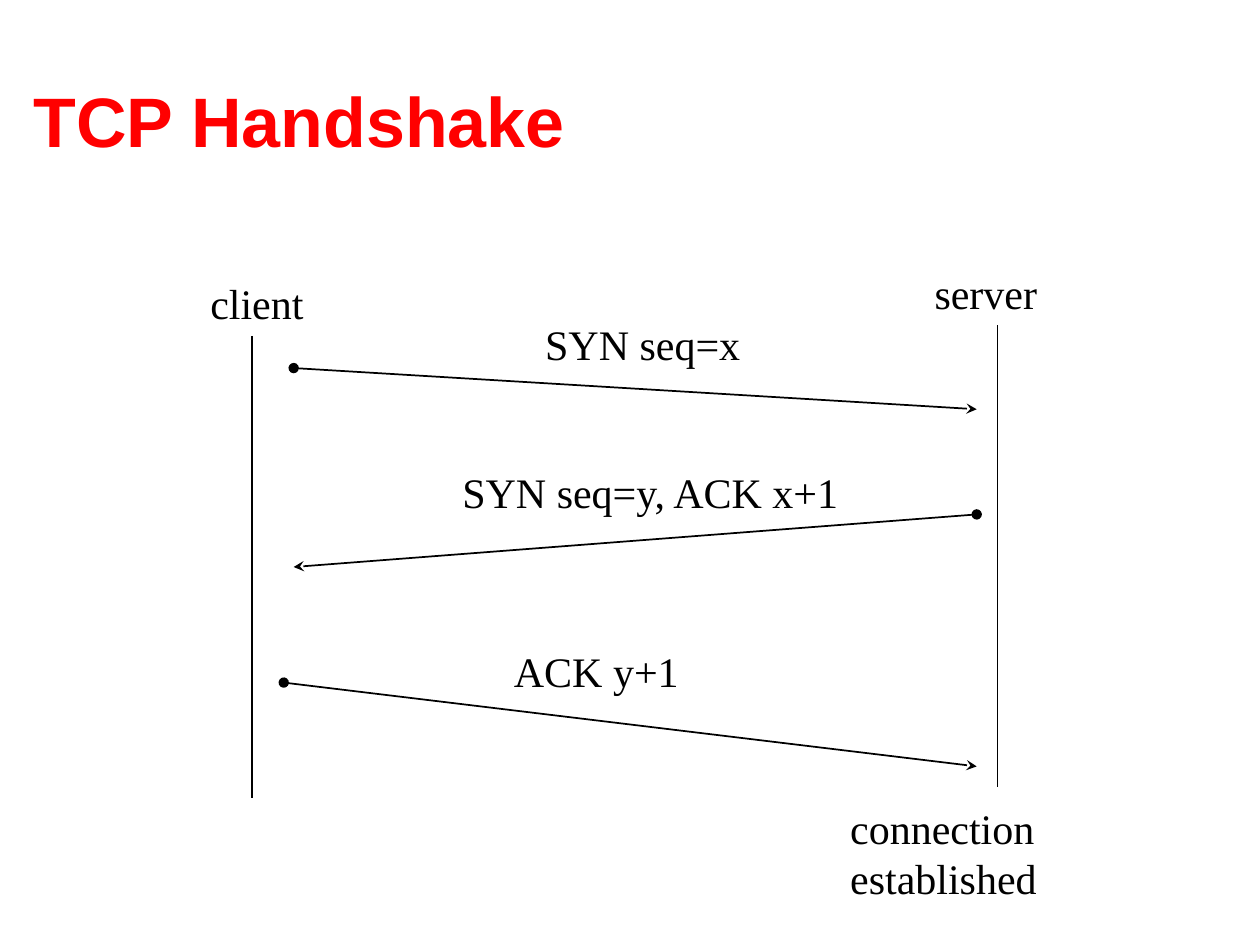
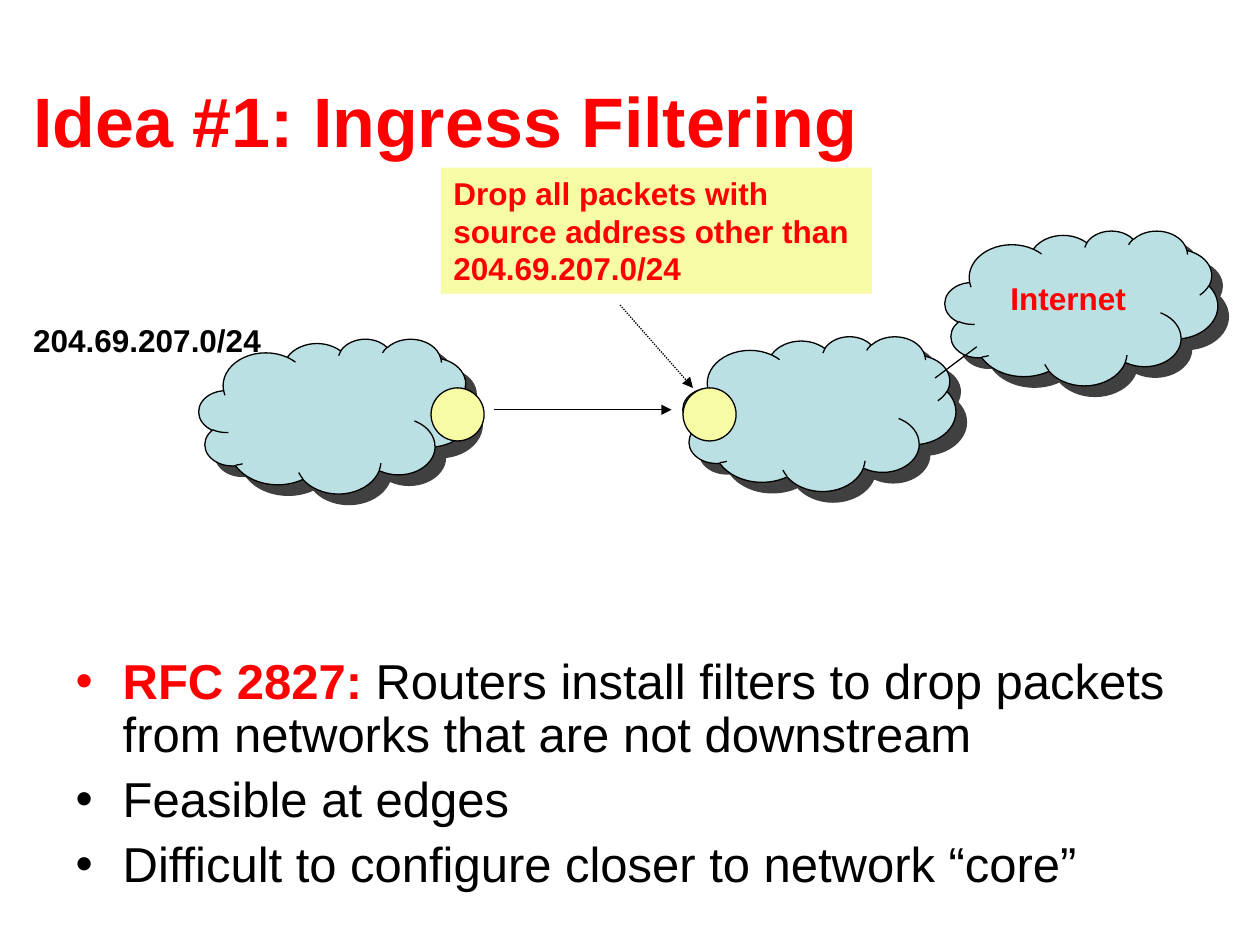
from pptx import Presentation
from pptx.dml.color import RGBColor
from pptx.enum.dml import MSO_LINE
from pptx.enum.shapes import MSO_CONNECTOR, MSO_SHAPE
from pptx.enum.text import MSO_ANCHOR, MSO_AUTO_SIZE, PP_ALIGN
from pptx.oxml.ns import qn
from pptx.util import Cm, Pt
from lxml import etree

CLOUD, ELLIPSE, RECTANGLE = MSO_SHAPE.CLOUD, MSO_SHAPE.OVAL, MSO_SHAPE.RECTANGLE
STRAIGHT = MSO_CONNECTOR.STRAIGHT
DOTTED = MSO_LINE.ROUND_DOT
LEFT, MIDDLE, TOP = PP_ALIGN.LEFT, MSO_ANCHOR.MIDDLE, MSO_ANCHOR.TOP
NO_AUTOFIT = MSO_AUTO_SIZE.NONE

RED = RGBColor(0xFF, 0x00, 0x00)
BLACK = RGBColor(0x00, 0x00, 0x00)
CLOUD_BLUE = RGBColor(0xBB, 0xE0, 0xE3)
PALE_YELLOW = RGBColor(0xF7, 0xFB, 0xA3)
SANS, SERIF = "Arial", "Times New Roman"

TITLE_ONLY, TITLE_AND_BODY = 5, 1
LAYOUT_TITLE_BOX = (0.42, 0.81, 24.33, 3.18)
HANDSHAKE_BOX = (5.08, 5.25)
NETWORK_BOX = (0.42, 3.38)
BODY_BOX = (1.27, 13.12, 22.86, 5.3)
CLOUD_WIDTH, CLOUD_HEIGHT = 5.5, 3.12
ROUTER_SIZE = 1.07


def style_font(font, size, name, color, bold=False):
    font.size, font.name, font.bold = Pt(size), name, bold
    font.color.rgb = color


def place(shape, box):
    shape.left, shape.top, shape.width, shape.height = map(Cm, box)


def add_titled_slide(prs, layout, text):
    slide = prs.slides.add_slide(prs.slide_layouts[layout])
    title = slide.shapes.title
    place(title, LAYOUT_TITLE_BOX)
    title.text_frame.text = text
    title.text_frame.auto_size = NO_AUTOFIT
    title.text_frame.vertical_anchor = MIDDLE
    paragraph = title.text_frame.paragraphs[0]
    paragraph.alignment = LEFT
    style_font(paragraph.runs[0].font, 40, SANS, RED, True)
    return slide


def add_label(slide, text, box, size, name, color, bold=False, wrap=False):
    label = slide.shapes.add_textbox(*map(Cm, box))
    label.text_frame.text = text
    label.text_frame.word_wrap = wrap
    for paragraph in label.text_frame.paragraphs:
        style_font(paragraph.runs[0].font, size, name, color, bold)


def add_line(slide, start, end, width, head=None, tail=None, dash=None):
    line = slide.shapes.add_connector(STRAIGHT, *map(Cm, (*start, *end)))
    line.line.color.rgb = BLACK
    line.line.width = Pt(width)
    if dash:
        line.line.dash_style = dash
    properties = line._element.spPr
    for tag, kind in (("a:headEnd", head), ("a:tailEnd", tail)):
        if kind:
            etree.SubElement(properties.find(qn("a:ln")), qn(tag), type=kind)
    etree.SubElement(properties, qn("a:effectLst"))


def add_filled(slide, kind, box, fill, outlined=True):
    shape = slide.shapes.add_shape(kind, *map(Cm, box))
    shape.shadow.inherit = False
    shape.fill.solid()
    shape.fill.fore_color.rgb = fill
    if outlined:
        shape.line.color.rgb = BLACK
        shape.line.width = Pt(0.75)
    else:
        shape.line.fill.background()
    return shape


def add_cloud(slide, x, y):
    cloud = add_filled(slide, CLOUD, (x, y, CLOUD_WIDTH, CLOUD_HEIGHT), CLOUD_BLUE)
    effects = cloud._element.spPr.find(qn("a:effectLst"))
    shadow = etree.SubElement(effects, qn("a:outerShdw"), dist=str(Pt(8.5)),
                              dir="2700000", algn="ctr", rotWithShape="0")
    color = etree.SubElement(shadow, qn("a:srgbClr"), val=str(BLACK))
    etree.SubElement(color, qn("a:alpha"), val="75000")


def add_router(slide, x, y):
    add_filled(slide, ELLIPSE, (x, y, ROUTER_SIZE, ROUTER_SIZE), PALE_YELLOW)


def add_handshake(slide, left, top):
    def at(x, y):
        return left + x, top + y

    captions = [
        ("client", -1.09, 0.21, 2.39, 1.27),
        ("server", 13.51, 0.01, 2.59, 1.27),
        ("SYN seq=x", 5.66, 1.05, 4.45, 1.27),
        ("SYN seq=y, ACK x+1", 3.99, 4.02, 8.2, 1.27),
        ("ACK y+1", 5.03, 7.63, 3.84, 1.27),
        ("connection\nestablished", 11.81, 10.8, 4.27, 2.29),
    ]
    for text, x, y, width, height in captions:
        add_label(slide, text, (*at(x, y), width, height), 24, SERIF, BLACK)

    messages = [
        ((0.84, 2.17), (14.61, 3.0)),
        ((14.61, 5.12), (0.84, 6.18)),
        ((0.64, 8.51), (14.61, 10.2)),
    ]
    for start, end in messages:
        add_line(slide, at(*start), at(*end), 1, "oval", "stealth")

    lifeline_length = 9.31
    for x, y in ((0, 1.52), (15.03, 1.31)):
        add_line(slide, at(x, y), at(x, y + lifeline_length), 1)


def add_network(slide, left, top):
    def at(x, y):
        return left + x, top + y

    add_cloud(slide, *at(3.59, 3.45))
    add_label(slide, "204.69.207.0/24", (*at(0, 2.97), 5.28, 1.02),
              18, SANS, BLACK, True, True)
    add_cloud(slide, *at(13.35, 3.4))
    for x in (8.27, 13.35):
        add_router(slide, *at(x, 4.44))
    add_line(slide, at(9.54, 4.88), at(13.12, 4.88), 0.75, tail="triangle")

    add_cloud(slide, *at(18.63, 1.27))
    add_label(slide, "Internet", (*at(19.7, 2.13), 4.24, 1.02),
              18, SANS, RED, True, True)
    add_line(slide, at(18.43, 4.24), at(19.27, 3.61), 0.75)
    add_line(slide, at(12.08, 2.77), at(13.55, 4.44), 0.75,
             tail="triangle", dash=DOTTED)

    rule = add_filled(slide, RECTANGLE, (*at(8.47, 0), 8.69, 2.54), PALE_YELLOW, False)
    frame = rule.text_frame
    frame.text = "Drop all packets with source address other than 204.69.207.0/24"
    frame.word_wrap = True
    frame.vertical_anchor = TOP
    frame.paragraphs[0].alignment = LEFT
    style_font(frame.paragraphs[0].runs[0].font, 18, SANS, RED, True)


def set_bullet(paragraph, color):
    properties = paragraph._p.get_or_add_pPr()
    properties.set("marL", str(Cm(0.95)))
    properties.set("indent", str(Cm(-0.95)))
    bullet_color = etree.SubElement(properties, qn("a:buClr"))
    etree.SubElement(bullet_color, qn("a:srgbClr"), val=str(color))
    etree.SubElement(properties, qn("a:buChar"), char="•")


def fill_body(body, box):
    place(body, box)
    points = [
        ("RFC 2827:", " Routers install filters to drop packets "
                      "from networks that are not downstream"),
        ("", "Feasible at edges"),
        ("", "Difficult to configure closer to network “core”"),
    ]
    frame = body.text_frame
    frame.text = "\n".join(lead for lead, _ in points)
    frame.auto_size = NO_AUTOFIT
    for index, (paragraph, (lead, rest)) in enumerate(zip(frame.paragraphs, points)):
        set_bullet(paragraph, RED if lead else BLACK)
        paragraph.line_spacing = 0.9
        paragraph.space_before = Pt(7 if index else 0)
        for run in paragraph.runs:
            style_font(run.font, 28, SANS, RED, True)
        detail = paragraph.add_run()
        detail.text = rest
        style_font(detail.font, 28, SANS, BLACK)


def main():
    prs = Presentation()
    prs.slide_width, prs.slide_height = Cm(25.4), Cm(19.05)

    handshake = add_titled_slide(prs, TITLE_ONLY, "TCP Handshake")
    add_handshake(handshake, *HANDSHAKE_BOX)

    filtering = add_titled_slide(prs, TITLE_AND_BODY, "Idea #1: Ingress Filtering")
    fill_body(filtering.placeholders[1], BODY_BOX)
    add_network(filtering, *NETWORK_BOX)

    prs.save("out.pptx")


if __name__ == "__main__":
    main()
